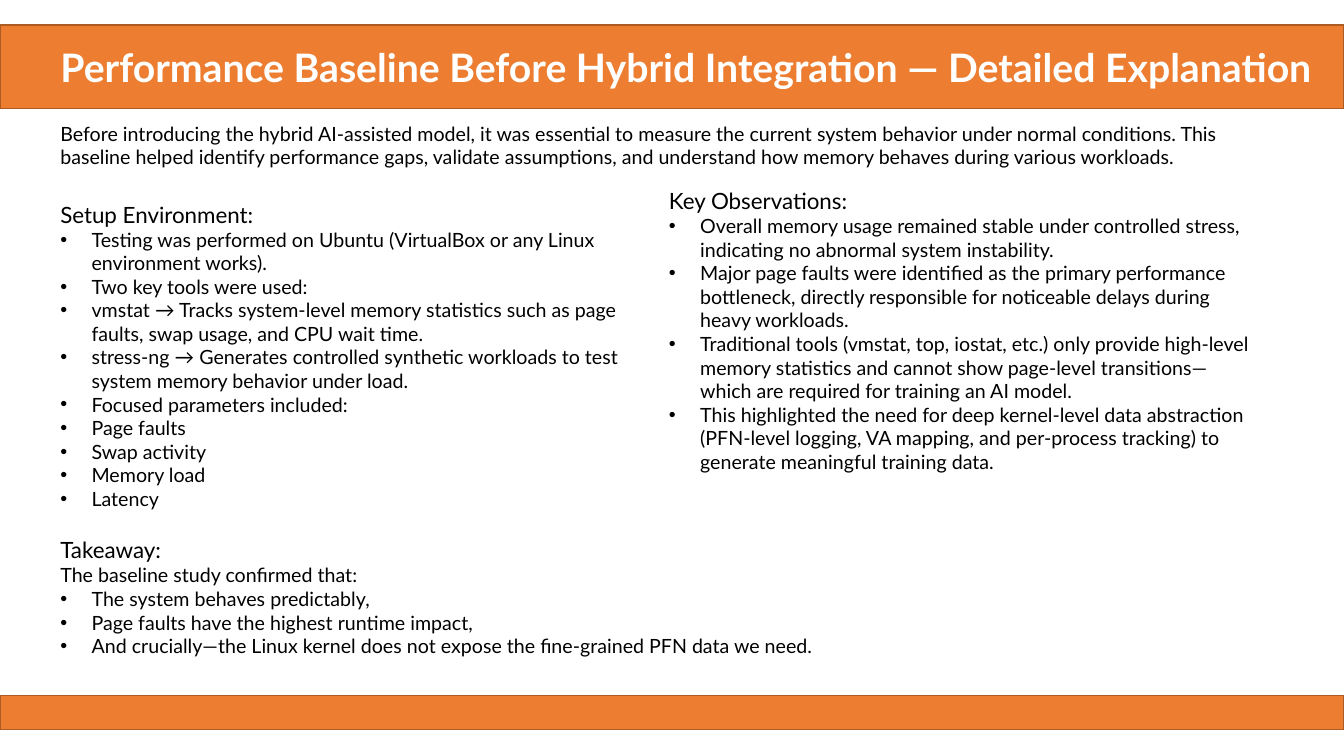
import pptx
import pptx.util
import pptx.dml.color
import pptx.enum.shapes
import pptx.enum.text
import pptx.oxml.ns
import lxml.etree

Inches = pptx.util.Inches
Pt = pptx.util.Pt

COLORS = {"band": "ED7D31", "band_edge": "AC5B23", "title": "FFFFFF", "text": "000000"}
FONT = "Lato"
SLIDE_W, SLIDE_H = 13.33, 7.5
LEFT = 0.5
BODY_W = 12.07
HEADING, PLAIN, BULLET = "heading", "plain", "bullet"

INTRO = [
    (PLAIN, "Before introducing the hybrid AI-assisted model, it was essential to measure the "
            "current system behavior under normal conditions. This baseline helped identify "
            "performance gaps, validate assumptions, and understand how memory behaves during "
            "various workloads."),
]
SETUP = [
    (HEADING, "Setup Environment:"),
    (BULLET, "Testing was performed on Ubuntu (VirtualBox or any Linux environment works)."),
    (BULLET, "Two key tools were used:"),
    (BULLET, "vmstat → Tracks system-level memory statistics such as page faults, swap usage, "
             "and CPU wait time."),
    (BULLET, "stress-ng → Generates controlled synthetic workloads to test system memory "
             "behavior under load."),
    (BULLET, "Focused parameters included:"),
    (BULLET, "Page faults"),
    (BULLET, "Swap activity"),
    (BULLET, "Memory load"),
    (BULLET, "Latency"),
]
OBSERVATIONS = [
    (HEADING, "Key Observations:"),
    (BULLET, "Overall memory usage remained stable under controlled stress, indicating no "
             "abnormal system instability."),
    (BULLET, "Major page faults were identified as the primary performance bottleneck, directly "
             "responsible for noticeable delays during heavy workloads."),
    (BULLET, "Traditional tools (vmstat, top, iostat, etc.) only provide high-level memory "
             "statistics and cannot show page-level transitions—which are required for training "
             "an AI model."),
    (BULLET, "This highlighted the need for deep kernel-level data abstraction (PFN-level "
             "logging, VA mapping, and per-process tracking) to generate meaningful training "
             "data."),
]
TAKEAWAY = [
    (HEADING, "Takeaway:"),
    (PLAIN, "The baseline study confirmed that:"),
    (BULLET, "The system behaves predictably,"),
    (BULLET, "Page faults have the highest runtime impact,"),
    (BULLET, "And crucially—the Linux kernel does not expose the fine-grained PFN data we need."),
]


def rgb(name):
    return pptx.dml.color.RGBColor.from_string(COLORS[name])


def set_font(paragraph, size, color, bold=False):
    paragraph.font.name = FONT
    paragraph.font.size = Pt(size)
    paragraph.font.bold = bold
    paragraph.font.color.rgb = rgb(color)


def add_bullet(paragraph):
    properties = paragraph._p.get_or_add_pPr()
    properties.set("marL", str(Inches(0.31)))
    properties.set("indent", str(-Inches(0.31)))
    for tag, key, value in (("a:buFont", "typeface", "Arial"), ("a:buChar", "char", "•")):
        lxml.etree.SubElement(properties, pptx.oxml.ns.qn(tag)).set(key, value)


def add_band(slide, top, height, title=None):
    """Full-width colour band, with an optional title aligned to the body text."""
    band = slide.shapes.add_shape(pptx.enum.shapes.MSO_SHAPE.RECTANGLE,
                                  Inches(0), Inches(top), Inches(SLIDE_W), Inches(height))
    band.shadow.inherit = False
    band.fill.solid()
    band.fill.fore_color.rgb = rgb("band")
    band.line.color.rgb = rgb("band_edge")
    band.line.width = Pt(1)
    if title:
        frame = band.text_frame
        frame.margin_left = Inches(LEFT + 0.1)
        frame.vertical_anchor = pptx.enum.text.MSO_ANCHOR.MIDDLE
        heading = frame.paragraphs[0]
        heading.text = title
        heading.alignment = pptx.enum.text.PP_ALIGN.LEFT
        set_font(heading, 28, "title", bold=True)


def add_section(slide, top, width, height, lines, columns=1):
    """Text block whose opening heading is loosely spaced; may flow over columns."""
    section = slide.shapes.add_textbox(Inches(LEFT), Inches(top), Inches(width), Inches(height))
    frame = section.text_frame
    frame.word_wrap = True
    frame.auto_size = pptx.enum.text.MSO_AUTO_SIZE.SHAPE_TO_FIT_TEXT
    if columns > 1:
        body = frame._txBody.bodyPr
        body.set("numCol", str(columns))
        body.set("spcCol", str(Inches(0.2)))
    for index, (role, text) in enumerate(lines):
        paragraph = frame.add_paragraph() if index else frame.paragraphs[0]
        paragraph.text = text
        if role == HEADING and index == 0:
            paragraph.line_spacing = 1.5
        if role == BULLET:
            add_bullet(paragraph)
        set_font(paragraph, 16 if role == HEADING else 14, "text")


def build_baseline_slide(deck):
    slide = deck.slides.add_slide(deck.slide_layouts[6])
    # Header and footer bands
    add_band(slide, 0.25, 0.83,
             "Performance Baseline Before Hybrid Integration — Detailed Explanation")
    add_band(slide, 6.9, 0.34)
    # Introduction, two-column findings, takeaway
    add_section(slide, 1.16, BODY_W, 0.57, INTRO)
    add_section(slide, 1.81, BODY_W, 3.41, SETUP + OBSERVATIONS, columns=2)
    add_section(slide, 5.14, 12.19, 1.45, TAKEAWAY)


def main():
    deck = pptx.Presentation()
    deck.slide_width = Inches(SLIDE_W)
    deck.slide_height = Inches(SLIDE_H)
    build_baseline_slide(deck)
    deck.save("out.pptx")


if __name__ == "__main__":
    main()
